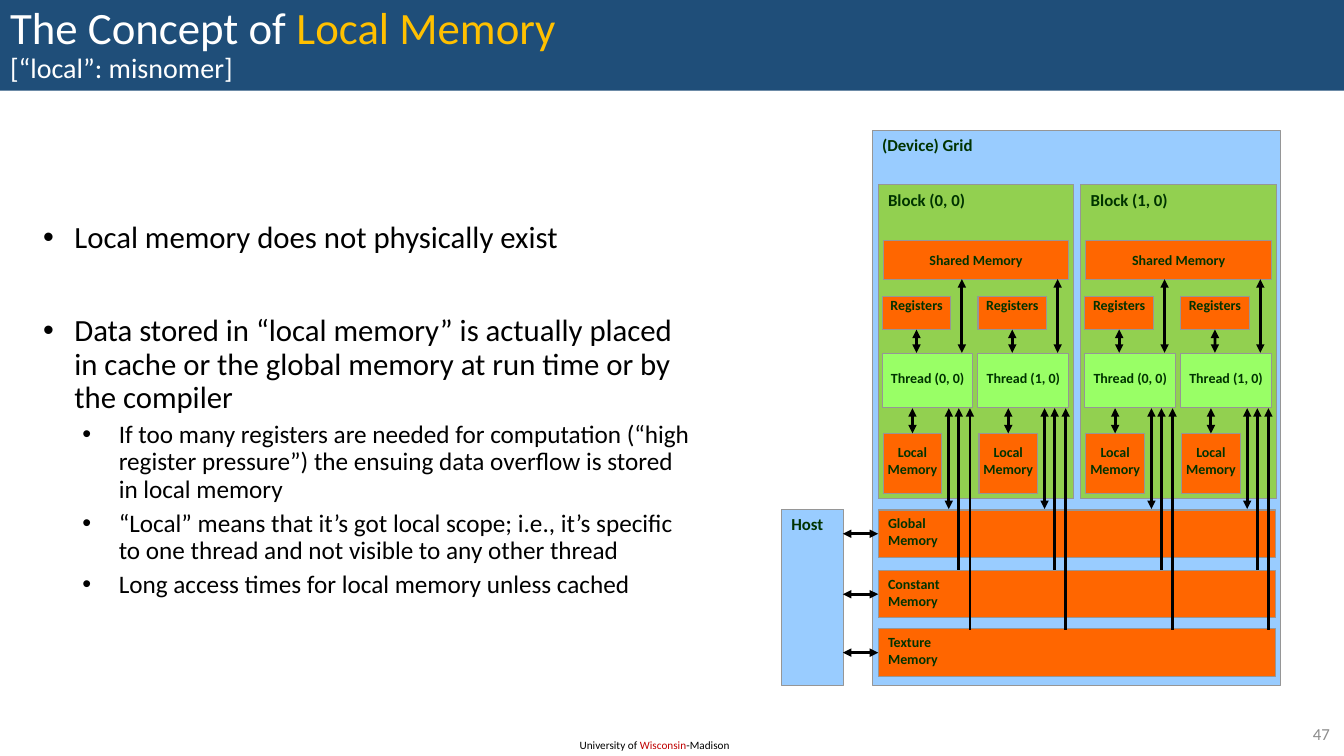
import copy
from dataclasses import dataclass
from typing import Optional

import lxml.etree
import pptx
import pptx.dml.color
import pptx.enum.shapes
import pptx.enum.text
import pptx.oxml.ns
import pptx.shapes.autoshape
import pptx.slide
import pptx.text.text
import pptx.util

Inches = pptx.util.Inches
Pt = pptx.util.Pt
qn = pptx.oxml.ns.qn
ALIGN = pptx.enum.text.PP_ALIGN
ANCHOR = pptx.enum.text.MSO_ANCHOR
Shape = pptx.shapes.autoshape.Shape

COLORS = {
    "banner": "1F4E79", "white": "FFFFFF", "gold": "FFC000", "black": "000000",
    "red": "C00000", "gray": "8C8C8C", "border": "969696", "label": "003300",
    "device": "99CCFF", "block": "92D050", "memory": "FF6600", "thread": "99FF66",
}


@dataclass
class Box:
    """A labelled rectangle; a top inset marks a centred label."""
    text: str
    x: float
    y: float
    w: float
    h: float
    fill: str
    size: int = 10
    inset: Optional[float] = None


@dataclass
class Arrow:
    """A line with a head at its start, and at its end when double."""
    x1: float
    y1: float
    x2: float
    y2: float
    double: bool = True


@dataclass
class Bullet:
    """A bulleted paragraph."""
    text: str
    level: int = 0
    before: float = 5


BULLETS = [
    Bullet("Local memory does not physically exist", before=0),
    Bullet("Data stored in “local memory” is actually placed in cache or the global "
           "memory at run time or by the compiler", before=43),
    Bullet("If too many registers are needed for computation (“high register pressure”) "
           "the ensuing data overflow is stored in local memory", 1),
    Bullet("“Local” means that it’s got local scope; i.e., it’s specific to one thread "
           "and not visible to any other thread", 1),
    Bullet("Long access times for local memory unless cached", 1),
]
LEVELS = [(22, 0.31, 0.31), (18, 0.75, 0.36)]
BARS = [("Global", 5.06), ("Constant", 5.66), ("Texture", 6.24)]


def rgb(name: str) -> pptx.dml.color.RGBColor:
    """Return the named colour."""
    return pptx.dml.color.RGBColor.from_string(COLORS[name])


def write(p: pptx.text.text._Paragraph, text: str, *, size: float,
          color: str = "black", bold: bool = False) -> pptx.text.text._Run:
    """Append a formatted run to a paragraph."""
    r = p.add_run()
    r.text = text
    r.font.name = "Calibri"
    r.font.size = Pt(size)
    r.font.bold = bold
    r.font.color.rgb = rgb(color)
    return r


def draw_box(s: pptx.slide.Slide, box: Box) -> Shape:
    """Draw a labelled rectangle."""
    sp = s.shapes.add_shape(pptx.enum.shapes.MSO_SHAPE.RECTANGLE, Inches(box.x),
                            Inches(box.y), Inches(box.w), Inches(box.h))
    sp.shadow.inherit = False
    sp.fill.solid()
    sp.fill.fore_color.rgb = rgb(box.fill)
    sp.line.color.rgb = rgb("border")
    sp.line.width = Pt(0.75)
    tf = sp.text_frame
    tf.word_wrap = True
    tf.vertical_anchor = ANCHOR.TOP
    if box.inset is not None:
        tf.margin_left = tf.margin_right = tf.margin_bottom = 0
        tf.margin_top = Inches(box.inset)
    for i, line in enumerate(box.text.split("\n")):
        p = tf.add_paragraph() if i else tf.paragraphs[0]
        p.alignment = ALIGN.LEFT if box.inset is None else ALIGN.CENTER
        write(p, line, size=box.size, color="label", bold=True)
    return sp


def draw_arrow(s: pptx.slide.Slide, a: Arrow, target: Optional[Shape] = None,
               site: int = 0) -> None:
    """Draw an arrow, joining its end to a side of the target if given."""
    c = s.shapes.add_connector(pptx.enum.shapes.MSO_CONNECTOR.STRAIGHT, Inches(a.x1),
                               Inches(a.y1), Inches(a.x2), Inches(a.y2))
    c.line.color.rgb = rgb("black")
    c.line.width = Pt(2)
    props = c._element.spPr
    ln = props.find(qn("a:ln"))
    for tag in ("a:headEnd", "a:tailEnd")[:2 if a.double else 1]:
        lxml.etree.SubElement(ln, qn(tag), type="triangle")
    lxml.etree.SubElement(props, qn("a:effectLst"))
    if target is not None:
        c.end_connect(target, site)


def add_text_box(s: pptx.slide.Slide, x: float, y: float, w: float, h: float,
                 wrap: bool = True) -> pptx.text.text.TextFrame:
    """Add an empty text box and return its frame."""
    tf = s.shapes.add_textbox(Inches(x), Inches(y), Inches(w), Inches(h)).text_frame
    tf.word_wrap = wrap
    return tf


def draw_title(s: pptx.slide.Slide) -> None:
    """Format the title banner."""
    sp = s.shapes.title
    sp.left, sp.top, sp.width, sp.height = 0, 0, Inches(13.33), Inches(0.9)
    sp.fill.solid()
    sp.fill.fore_color.rgb = rgb("banner")
    tf = sp.text_frame
    tf.auto_size = pptx.enum.text.MSO_AUTO_SIZE.NONE
    tf.vertical_anchor = ANCHOR.MIDDLE
    p = tf.paragraphs[0]
    p.alignment = ALIGN.LEFT
    p.line_spacing = 0.9
    write(p, "The Concept of ", size=32, color="white")
    r = write(p, "Local Memory", size=32, color="gold")
    p.add_line_break()
    p._p[-1].append(copy.deepcopy(r._r.rPr))
    write(p, "[“local”: misnomer]", size=20, color="white")


def draw_bullets(s: pptx.slide.Slide) -> None:
    """Write the bulleted text."""
    tf = add_text_box(s, 0.33, 1.63, 6.67, 5.08)
    tf.margin_top = Inches(0.57)
    for i, b in enumerate(BULLETS):
        p = tf.add_paragraph() if i else tf.paragraphs[0]
        size, left, hang = LEVELS[b.level]
        p.level = b.level
        p.line_spacing = 0.9
        p.space_before = Pt(b.before)
        props = p._p.get_or_add_pPr()
        props.set("marL", str(Inches(left)))
        props.set("indent", str(-Inches(hang)))
        lxml.etree.SubElement(props, qn("a:buFont"), typeface="Arial")
        lxml.etree.SubElement(props, qn("a:buChar"), char="•")
        write(p, b.text, size=size)


def draw_thread(s: pptx.slide.Slide, x: float, index: int) -> None:
    """Draw one thread with its memories and arrows."""
    local = draw_box(s, Box("Local\nMemory", x + 0.01, 4.3, 0.58, 0.6, "memory", inset=0.1))
    draw_box(s, Box(f"Thread ({index}, 0)", x, 3.51, 0.9, 0.53, "thread", inset=0.16))
    registers = draw_box(s, Box("Registers", x, 2.94, 0.68, 0.33, "memory", inset=0))
    draw_arrow(s, Arrow(x + 0.79, 3.5, x + 0.79, 2.77))
    draw_arrow(s, Arrow(x + 0.34, 3.5, x + 0.34, 3.27), registers, 2)
    draw_arrow(s, Arrow(x + 0.3, 4.05, x + 0.3, 4.3), local, 0)
    for dx, bottom in ((0.66, 5.05), (0.87, 6.25), (0.76, 5.65)):
        draw_arrow(s, Arrow(x + dx, 4.05, x + dx, bottom, double=dx == 0.66))


def draw_device(s: pptx.slide.Slide) -> None:
    """Draw the device grid and the host."""
    draw_box(s, Box("(Device) Grid", 8.65, 1.29, 4.05, 5.51, "device", 12))
    bars = [draw_box(s, Box(f"{name}\nMemory", 8.71, y, 3.94, 0.47, "memory"))
            for name, y in BARS]
    for block in range(2):
        x = 8.71 + 2.01 * block
        draw_box(s, Box(f"Block ({block}, 0)", x, 1.83, 1.94, 3.12, "block", 12))
        draw_box(s, Box("Shared Memory", x + 0.05, 2.39, 1.84, 0.38, "memory", inset=0.1))
        for thread in range(2):
            draw_thread(s, x + 0.04 + 0.95 * thread, thread)
    draw_box(s, Box("Host", 7.75, 5.05, 0.62, 1.75, "device", 12))
    for bar, (_, y) in zip(bars, BARS):
        draw_arrow(s, Arrow(8.36, y + 0.235, 8.71, y + 0.235), bar, 1)


def main() -> None:
    """Build and save the slide."""
    prs = pptx.Presentation()
    prs.slide_width, prs.slide_height = Inches(13.33), Inches(7.5)
    s = prs.slides.add_slide(prs.slide_layouts[5])
    draw_title(s)
    draw_bullets(s)
    draw_device(s)
    p = add_text_box(s, 5.65, 7.28, 1.72, 0.24, wrap=False).paragraphs[0]
    for text, color in (("University of ", "black"), ("Wisconsin", "red"), ("-Madison", "black")):
        write(p, text, size=8, color=color)
    tf = add_text_box(s, 12.53, 7.13, 0.76, 0.29)
    tf.vertical_anchor = ANCHOR.MIDDLE
    tf.paragraphs[0].alignment = ALIGN.RIGHT
    write(tf.paragraphs[0], "47", size=12, color="gray")
    prs.save("out.pptx")


if __name__ == "__main__":
    main()
